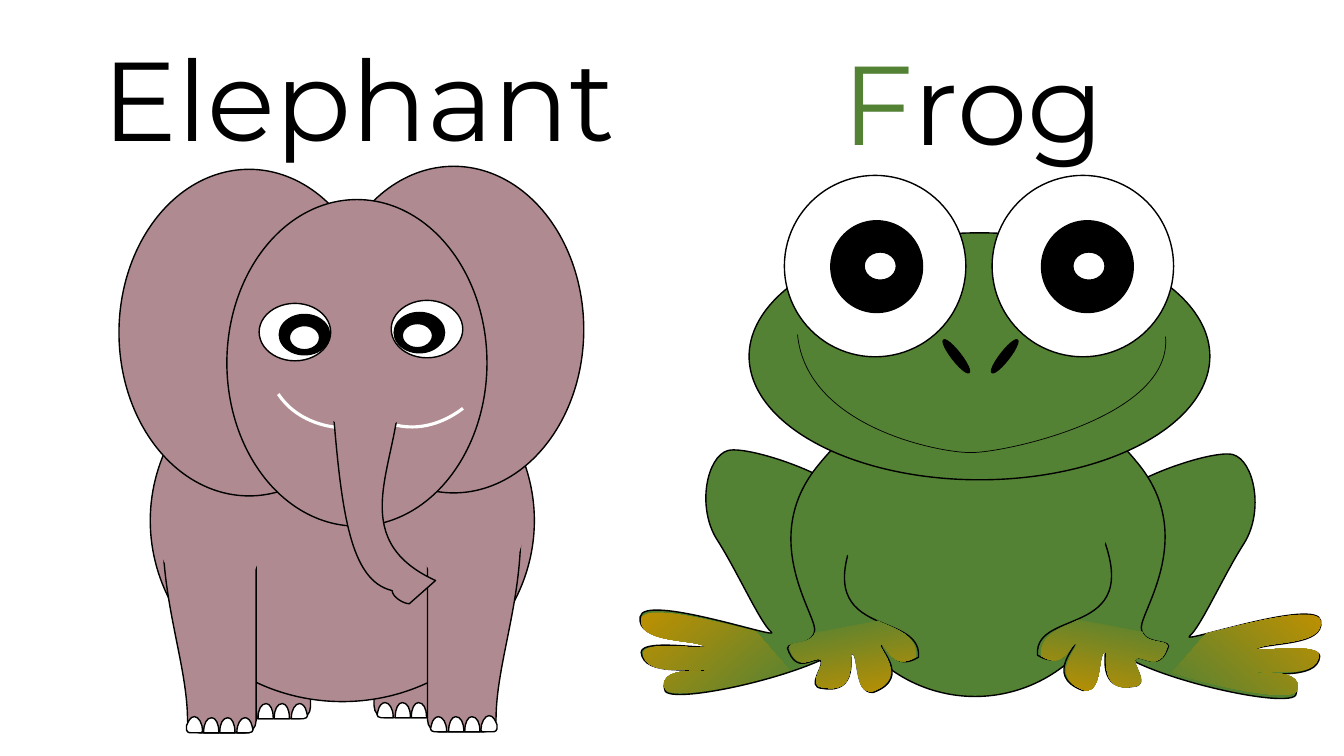
from dataclasses import dataclass

from pptx import Presentation
from pptx.dml.color import RGBColor
from pptx.enum.shapes import MSO_SHAPE
from pptx.enum.text import MSO_ANCHOR, MSO_AUTO_SIZE, PP_ALIGN
from pptx.oxml.ns import qn
from pptx.oxml.xmlchemy import OxmlElement
from pptx.util import Pt

PX = 9144  # 100 px to the inch
OVAL, ARC = MSO_SHAPE.OVAL, MSO_SHAPE.ARC
TOP, LEFT, NO_FIT = MSO_ANCHOR.TOP, PP_ALIGN.LEFT, MSO_AUTO_SIZE.NONE


@dataclass(frozen=True)
class Theme:
    font: str = "Montserrat"
    name_size: int = 80
    black: str = "000000"
    white: str = "FFFFFF"
    hide: str = "AF8B91"
    skin: str = "548235"
    toes: str = "BF9000"


THEME = Theme()

# Outlines: M start, L line, C curve
LEG = ("M 92 46 C 92 40 87 35 81 35 L 36 35 C 29 35 9 -6 9 0 C -19 108 24 190 24 261 "
       "C 24 268 29 273 36 273 L 81 273 C 87 273 92 268 92 261 L 92 46")
OUTER_TOE = ("M 31 257 C 27 257 25 261 23 266 L 23 270 L 24 272 C 25 273 26 273 28 273 "
             "L 38 273 L 39 271 C 39 264 35 257 31 257")
MIDDLE_TOE = ("M 48 258 C 43 258 40 264 40 272 L 40 273 L 55 273 L 55 272 "
              "C 55 264 52 258 48 258")
INNER_TOE = ("M 81 258 C 77 258 73 264 73 272 L 73 273 L 85 273 C 86 273 87 273 88 272 "
             "L 89 270 L 88 266 C 87 261 84 258 81 258")
TRUNK = ("M 296 387 C 296 381 291 376 285 376 L 240 376 C 234 376 229 381 229 387 "
         "C 238 509 247 576 289 586 C 289 592 300 599 306 599 L 332 576 "
         "C 240 534 296 459 296 387")
THIGH = ("M 111 535 C 91 503 101 453 122 447 C 144 441 250 479 241 500 "
         "C 233 520 254 604 244 633 C 234 662 73 700 60 686 C 48 655 126 670 110 666 "
         "C 94 661 38 673 36 647 C 37 632 114 647 100 640 C 86 633 31 637 35 612 "
         "C 38 588 177 636 165 627 C 154 618 131 566 111 535")
ARM = ("M 212 461 C 271 389 318 391 327 398 C 335 405 265 459 262 501 "
       "C 185 643 315 600 311 652 C 287 667 280 640 275 640 C 267 639 307 672 266 687 "
       "C 246 688 253 646 244 648 C 242 647 253 689 216 683 C 197 682 221 658 213 655 "
       "C 206 652 190 670 181 643 C 182 636 208 642 208 624 C 207 606 153 532 212 461")
FOOT = ("M 50 608 C 42 608 37 610 36 614 C 33 638 85 634 99 641 C 112 647 39 634 38 648 "
        "C 39 673 93 661 108 666 C 124 670 49 655 60 684 C 68 693 131 682 180 666 "
        "L 183 665 L 150 627 L 147 626 C 122 620 74 607 50 608")
FINGERS = ("M 271 616 L 208 628 L 208 629 C 203 640 183 636 183 642 "
           "C 191 669 207 651 214 654 C 221 657 198 681 217 682 "
           "C 253 689 241 647 244 648 C 253 646 246 688 265 686 "
           "C 305 672 266 639 274 639 C 279 640 285 666 308 652 "
           "C 310 632 293 626 275 618 L 271 616")
SMILE = "M 556 334 C 563 415 392 450 362 449 C 332 449 200 424 191 332"


def rgb(colour):
    return RGBColor.from_string(colour)


def paint(shape, fill, line, weight=1):
    """Fill is None, a colour, or (first colour, last colour, clockwise angle)."""
    shape.shadow.inherit = False
    if fill is None:
        shape.fill.background()
    elif isinstance(fill, tuple):
        shape.fill.gradient()
        shape.fill.gradient_angle = (360 - fill[2]) % 360
        for stop, colour in zip(shape.fill.gradient_stops, fill):
            stop.color.rgb = rgb(colour)
    else:
        shape.fill.solid()
        shape.fill.fore_color.rgb = rgb(fill)
    if line is None:
        shape.line.fill.background()
    else:
        shape.line.color.rgb = rgb(line)
        shape.line.width = Pt(weight)


def preset(slide, origin, kind, place, fill, line=THEME.black, turn=0, weight=1):
    x, y, width, height = place
    shape = slide.shapes.add_shape(kind, (origin[0] + x) * PX, (origin[1] + y) * PX,
                                   width * PX, height * PX)
    shape.rotation = turn
    paint(shape, fill, line, weight)
    return shape


def curve(slide, origin, outline, fill, line=THEME.black, weight=1, mirror=None, closed=True):
    """Draw an outline; mirror is the sum of an x and its reflected x."""
    tokens = outline.split()
    letters = [token for token in tokens if token.isalpha()]
    numbers = [int(token) for token in tokens if not token.isalpha()]
    points = [(origin[0] + (x if mirror is None else mirror - x), origin[1] + y)
              for x, y in zip(numbers[::2], numbers[1::2])]
    builder = slide.shapes.build_freeform(*points[0], scale=PX)
    builder.add_line_segments(points[1:], close=closed)
    shape = builder.convert_to_shape()
    # Join each three points of a C step into one Bézier segment
    steps = iter(shape._element.findall(".//" + qn("a:lnTo")))
    for letter in letters[1:]:
        first = next(steps)
        if letter == "C":
            bezier = OxmlElement("a:cubicBezTo")
            first.addprevious(bezier)
            for step in (first, next(steps), next(steps)):
                bezier.append(step[0])
                step.getparent().remove(step)
    paint(shape, fill, line, weight)


def animal_name(placeholder, box, parts):
    """Write a name in runs of (text, colour)."""
    placeholder.left, placeholder.top, placeholder.width, placeholder.height = (
        length * PX for length in box)
    frame = placeholder.text_frame
    frame.auto_size, frame.vertical_anchor = NO_FIT, TOP
    paragraph = frame.paragraphs[0]
    paragraph.alignment, paragraph.line_spacing = LEFT, 1.0
    paragraph.space_before = Pt(0)
    for text, colour in parts:
        run = paragraph.add_run()
        run.text = text
        run.font.name, run.font.size = THEME.font, Pt(THEME.name_size)
        run.font.color.rgb = rgb(colour)


def elephant_leg(slide, origin, mirror=None):
    curve(slide, origin, LEG, THEME.hide, mirror=mirror)
    for toe, shift in ((OUTER_TOE, 0), (INNER_TOE, 0), (MIDDLE_TOE, 16), (MIDDLE_TOE, 0)):
        step = shift if mirror is None else -shift
        curve(slide, (origin[0] + step, origin[1]), toe, THEME.white, mirror=mirror)


def elephant(slide, box):
    left, top = box
    # Back legs, body, front legs with shoulders
    elephant_leg(slide, (left + 116, top + 440))
    elephant_leg(slide, (left + 271, top + 439), mirror=92)
    preset(slide, box, OVAL, (49, 337, 381, 359), THEME.hide)
    elephant_leg(slide, (left + 62, top + 454))
    preset(slide, box, OVAL, (53, 442, 107, 154), THEME.hide, None, 351.3)
    elephant_leg(slide, (left + 324, top + 453), mirror=92)
    preset(slide, box, OVAL, (314, 438, 107, 154), THEME.hide, None, 3.6)
    # Ears and head
    for x, y in ((221, 165), (18, 168), (125, 198)):
        preset(slide, box, OVAL, (x, y, 258, 324), THEME.hide)
    # Eyes: white, pupil, glint
    for eye in (((157, 301), (177, 312), (187, 323)), ((288, 298), (291, 310), (299, 321))):
        sizes = ((71, 57), (50, 40), (30, 24))
        for place, size, colour in zip(eye, sizes, (THEME.white, THEME.black, THEME.white)):
            preset(slide, box, OVAL, place + size, colour)
    # Mouth and trunk
    for x, y, turn in ((184, 210, 236.4), (231, 192, 194.1)):
        mouth = preset(slide, box, ARC, (x, y, 178, 233), None, THEME.white, turn, 2.25)
        mouth.adjustments[1] = 183.72
        mouth._element.spPr.xfrm.set("flipH", "1")
    curve(slide, box, TRUNK, THEME.hide)
    preset(slide, box, OVAL, (216, 360, 94, 66), THEME.hide, THEME.hide)


def frog_pair(slide, box, outline, fills, line, mirror, drop):
    curve(slide, box, outline, fills[0], line)
    curve(slide, (box[0], box[1] + drop), outline, fills[1], line, mirror=mirror)


def frog(slide, box):
    skin, toes = THEME.skin, THEME.toes
    # Legs, body, arms, coloured feet and fingers
    frog_pair(slide, box, THIGH, (skin, skin), THEME.black, 745, 4)
    preset(slide, box, OVAL, (223, 401, 288, 290), skin)
    frog_pair(slide, box, ARM, (skin, skin), THEME.black, 740, -2)
    frog_pair(slide, box, FOOT, ((toes, skin, 49), (toes, skin, 131)), None, 746, 2)
    frog_pair(slide, box, FINGERS, ((skin, toes, 79), (skin, toes, 101)), None, 741, -1)
    # Shoulders and head
    preset(slide, box, OVAL, (430, 456, 72, 118), skin, None, 12.3)
    preset(slide, box, OVAL, (222, 447, 72, 118), skin, None, 347.7)
    preset(slide, box, OVAL, (143, 231, 457, 245), skin)
    # Eyes, nostrils, smile
    for white, pupil, glint in ((384, 433, 464), (178, 224, 257)):
        preset(slide, box, OVAL, (white, 174, 180, 180), THEME.white)
        preset(slide, box, OVAL, (pupil, 219, 91, 91), THEME.black)
        preset(slide, box, OVAL, (glint, 250, 32, 28), THEME.white)
    for x, turn in ((328, 52), (376, 308)):
        preset(slide, box, OVAL, (x, 349, 41, 9), THEME.black, turn=turn)
    curve(slide, box, SMILE, None, weight=0.5, closed=False)


def main():
    deck = Presentation()
    deck.slide_width, deck.slide_height = 1333 * PX, 750 * PX
    slide = deck.slides.add_slide(deck.slide_layouts[0])
    first_name, second_name = slide.placeholders
    animal_name(first_name, (92, 24, 570, 145), [("Elephant", THEME.black)])
    elephant(slide, (100, 0))
    animal_name(second_name, (826, 28, 352, 145), [("F", THEME.skin), ("rog", THEME.black)])
    frog(slide, (600, 0))
    deck.save("out.pptx")


if __name__ == "__main__":
    main()
